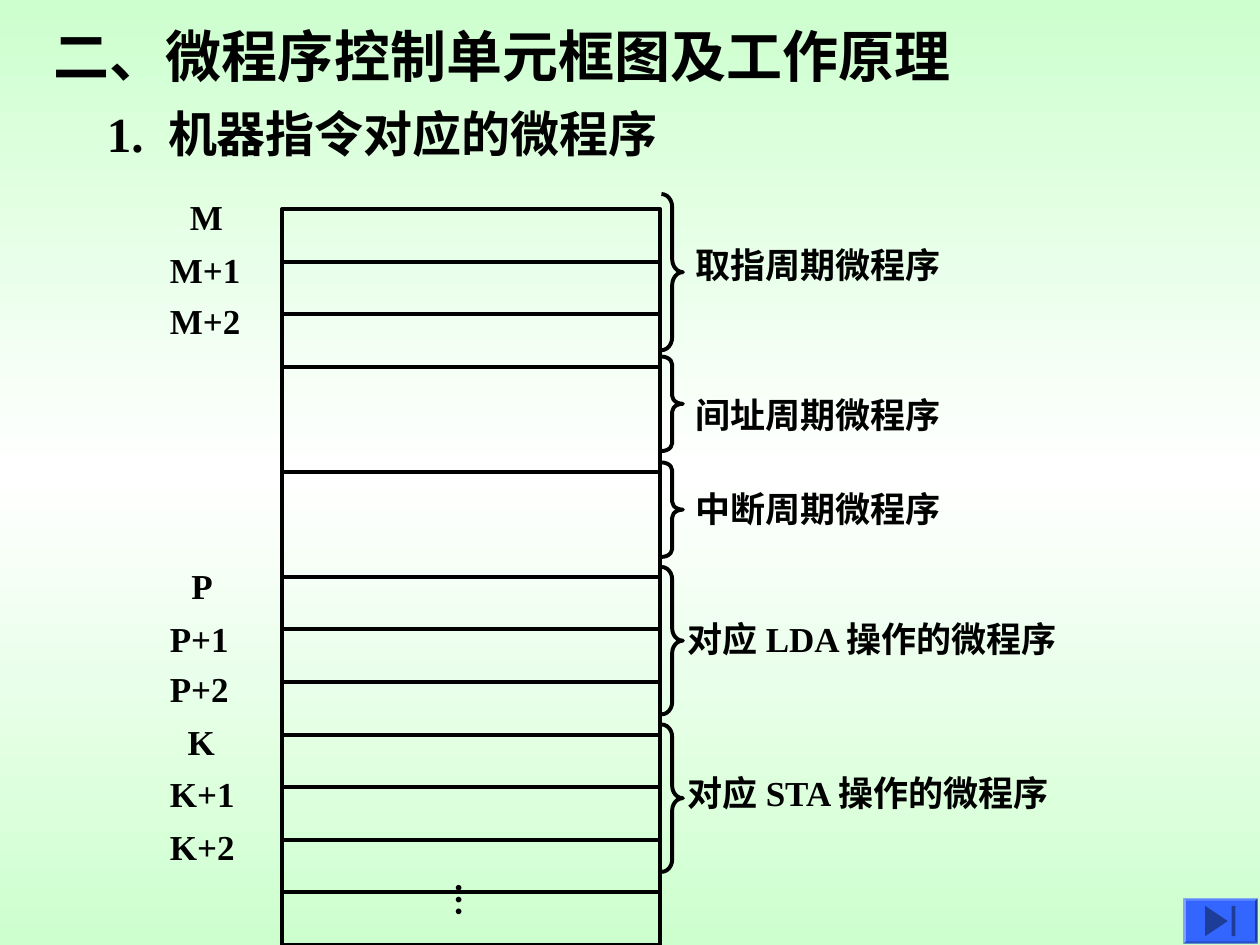
import copy
import pptx
import pptx.util
import pptx.dml.color
import pptx.enum.shapes
import pptx.enum.text
import pptx.oxml.ns
from pptx.util import Inches

BLACK = pptx.dml.color.RGBColor(0x00, 0x00, 0x00)
WHITE = pptx.dml.color.RGBColor(0xFF, 0xFF, 0xFF)
GREEN = pptx.dml.color.RGBColor(0xCD, 0xFF, 0xCE)
BLUE = pptx.dml.color.RGBColor(0x33, 0x66, 0xFF)
SHAPE = pptx.enum.shapes.MSO_SHAPE
qn = pptx.oxml.ns.qn

# Control store
LEFT, TOP, WIDTH, ROW = 2.24, 1.66, 3, 0.417
WORD_ROWS = [0, 1, 2, *range(7, 14)]
GAP_START, GAP_MIDDLE, GAP_END = 3, 5, 7

# text, left, top, width
ADDRESSES = [
    ("M", 1.41, 1.5, 0.5), ("M+1", 1.25, 1.92, 0.8), ("M+2", 1.25, 2.33, 0.8),
    ("P", 1.42, 4.43, 0.5), ("P+1", 1.25, 4.85, 0.8), ("P+2", 1.25, 5.25, 0.8),
    ("K", 1.39, 5.67, 0.5), ("K+1", 1.25, 6.08, 0.8), ("K+2", 1.25, 6.5, 0.8),
]
# text, left, top, width, brace top, brace height
ROUTINES = [
    ("取指周期微程序", 5.42, 1.88, 2.2, 1.54, 1.24),
    ("间址周期微程序", 5.42, 3.07, 2.2, 2.83, 0.75),
    ("中断周期微程序", 5.42, 3.82, 2.2, 3.67, 0.75),
    ("对应 LDA 操作的微程序", 5.36, 4.85, 3.3, 4.5, 1.17),
    ("对应 STA 操作的微程序", 5.36, 6.07, 3.3, 5.75, 1.17),
]


class Board:
    font = "Times New Roman"
    line_width = pptx.util.Pt(2.25)

    def __init__(self, s):
        self.s = s

    def background(self, *colors):
        """Vertical gradient with evenly spaced stops."""
        fill = self.s.background.fill
        fill.gradient()
        fill.gradient_angle = 90
        first = next(self.s._element.iter(qn("a:gs")))
        for _ in colors[2:]:
            first.addnext(copy.deepcopy(first))
        for i, (stop, color) in enumerate(zip(fill.gradient_stops, colors)):
            stop.position = i / (len(colors) - 1)
            stop.color.rgb = color

    def text(self, text, x, y, w, h=0.44, size=20, wrap=False, vertical=False):
        sp = self.s.shapes.add_textbox(Inches(x), Inches(y), Inches(w), Inches(h))
        tf = sp.text_frame
        tf.word_wrap = wrap
        tf.auto_size = pptx.enum.text.MSO_AUTO_SIZE.SHAPE_TO_FIT_TEXT
        if vertical:
            tf._txBody.bodyPr.set("vert", "eaVert")
            tf.margin_left = tf.margin_right = Inches(0.05)
            tf.margin_top = tf.margin_bottom = Inches(0.1)
        r = tf.paragraphs[0].add_run()
        r.text = text
        r.font.name = self.font
        r.font.size = pptx.util.Pt(size)
        r.font.bold = True
        r.font.color.rgb = BLACK

    def shape(self, kind, x, y, w, h, fill=None):
        """Filled without a line, or outlined when no fill is given."""
        sp = self.s.shapes.add_shape(kind, Inches(x), Inches(y), Inches(w), Inches(h))
        sp.shadow.inherit = False
        if fill is None:
            sp.fill.background()
            sp.line.color.rgb = BLACK
            sp.line.width = self.line_width
        else:
            sp.fill.solid()
            sp.fill.fore_color.rgb = fill
            sp.line.fill.background()
        return sp

    def brace(self, x, y, h, w=0.17):
        sp = self.shape(SHAPE.RIGHT_BRACE, x, y, w, h)
        sp.adjustments[0] = h / 12 / w

    def line(self, x1, y1, x2, y2):
        c = self.s.shapes.add_connector(
            pptx.enum.shapes.MSO_CONNECTOR.STRAIGHT,
            Inches(x1), Inches(y1), Inches(x2), Inches(y2))
        c.line.color.rgb = BLACK
        c.line.width = self.line_width
        c._element.spPr.append(pptx.oxml.parse_xml(
            f"<a:effectLst {pptx.oxml.ns.nsdecls('a')}/>"))

    def end_button(self, x, y, w, h, edge=0.02):
        sp = self.shape(SHAPE.BEVEL, x, y, w, h, BLUE)
        sp.adjustments[0] = edge / h
        self.shape(SHAPE.ACTION_BUTTON_END, x + edge, y + edge,
                   w - 2 * edge, h - 2 * edge, BLUE)


def row_top(i):
    return TOP + i * ROW


def main():
    prs = pptx.Presentation()
    prs.slide_width, prs.slide_height = Inches(10), Inches(7.5)
    board = Board(prs.slides.add_slide(prs.slide_layouts[6]))
    board.background(GREEN, WHITE, GREEN)
    board.text("二、微程序控制单元框图及工作原理", 0.33, 0.12, 8, 0.64, 32, wrap=True)
    board.text("1.  机器指令对应的微程序", 0.75, 0.77, 5.33, 0.57, 28, wrap=True)

    for i in WORD_ROWS:
        board.shape(SHAPE.RECTANGLE, LEFT, row_top(i), WIDTH, ROW)
    for x in (LEFT, LEFT + WIDTH):
        board.line(x, row_top(GAP_START), x, row_top(GAP_END))
    board.line(LEFT, row_top(GAP_MIDDLE), LEFT + WIDTH, row_top(GAP_MIDDLE))

    for address in ADDRESSES:
        board.text(*address)
    board.text("…", 3.42, 6.9, 0.53, 0.38, vertical=True)
    for text, x, y, w, brace_top, brace_height in ROUTINES:
        board.brace(5.25, brace_top, brace_height)
        board.text(text, x, y, w)
    board.end_button(9.39, 7.13, 0.59, 0.36)
    prs.save("out.pptx")


if __name__ == "__main__":
    main()
